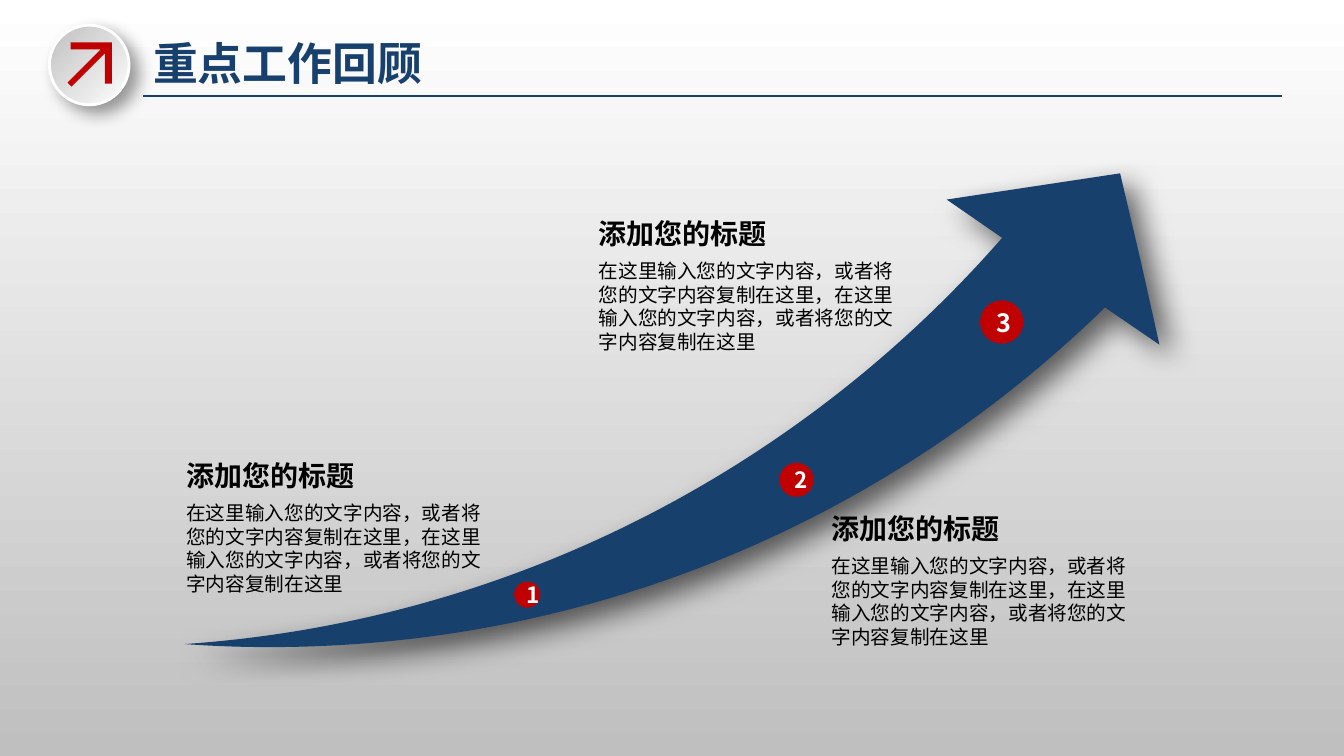
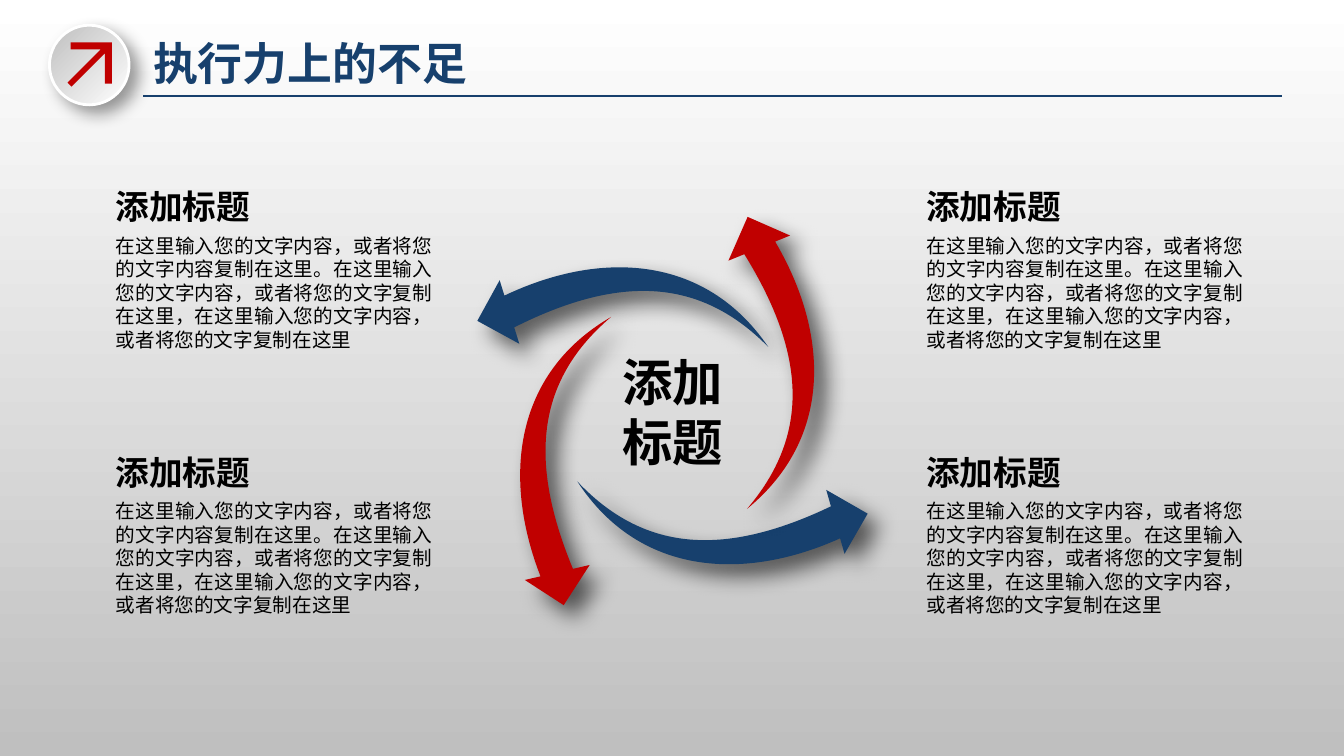
from typing import NamedTuple, Optional

from lxml import etree
from pptx import Presentation
from pptx.dml.color import RGBColor
from pptx.enum import shapes, text
from pptx.oxml import ns
from pptx.util import Inches, Pt

NAVY = RGBColor(0x17, 0x40, 0x6D)
RED = RGBColor(0xC0, 0x00, 0x00)
BLACK = RGBColor(0x00, 0x00, 0x00)
WHITE = RGBColor(0xFF, 0xFF, 0xFF)
SILVER = RGBColor(0xBF, 0xBF, 0xBF)
FONT = "Noto Sans CJK SC"
LINE_HEIGHT = 1.2  # in ems

Point = tuple[float, float]
# A step holds one point for a straight edge, three for a cubic curve.
Step = tuple[Point, ...]


class Box(NamedTuple):
    left: float
    top: float
    width: float
    height: float


class Shadow(NamedTuple):
    opacity: int
    blur: float
    distance: float


class Badge(NamedTuple):
    number: str
    left: float
    top: float
    diameter: float
    size: int


class SwirlArrow(NamedTuple):
    origin: Point
    rotation: float
    color: RGBColor


class TopicStyle(NamedTuple):
    heading: str
    body: str
    heading_size: int
    heading_width: float
    heading_height: float
    body_height: float
    body_offset: float
    body_align: Optional[text.PP_ALIGN] = None


BADGE_SHADOW = Shadow(40, 12, 8)
GROWTH_SHADOW = Shadow(60, 20, 12)
SWIRL_SHADOW = Shadow(60, 16, 12)

ICON_OUTLINE: list[Step] = [
    ((1.04, 0.83),), ((1.04, 0.53),), ((0.71, 0.86),), ((0.67, 0.82),),
    ((1, 0.49),), ((0.7, 0.49),), ((0.7, 0.42),), ((1.08, 0.42),),
    ((1.11, 0.42),), ((1.11, 0.46),), ((1.11, 0.83),),
]
GROWTH_OUTLINE: list[Step] = [
    ((10.96, 3.05),),
    ((8.82, 5.14), (5.9, 6.42), (2.67, 6.42)),
    ((2.39, 6.42), (2.11, 6.41), (1.83, 6.39)),
    ((5.06, 6.17), (7.94, 4.65), (9.94, 2.36)),
    ((9.39, 1.98),), ((10.25, 1.85),), ((11.11, 1.72),),
    ((11.31, 2.57),), ((11.5, 3.42),),
]
# Measured from the top left corner of the upright arrow.
SWIRL_OUTLINE: list[Step] = [
    ((0, 2.35),), ((0.16, 2.35),),
    ((0.01, 1.32), (0.35, 0.33), (1.42, 0)),
    ((0.59, 0.43), (0.29, 1.16), (0.49, 2.35)),
    ((0.66, 2.35),), ((0.32, 2.68),),
]
SWIRL_ARROWS = [
    SwirlArrow((5.42, 1.82), 72.8, NAVY),
    SwirlArrow((4.96, 3.27), 347, RED),
    SwirlArrow((6.5, 3.75), 254, NAVY),
    SwirlArrow((6.85, 2.2), 157.8, RED),
]

BADGES = [
    Badge("1", 5.1, 5.77, 0.26, 16),
    Badge("2", 7.73, 4.59, 0.34, 16),
    Badge("3", 9.72, 2.98, 0.43, 18),
]

REVIEW_STYLE = TopicStyle(
    "添加您的标题",
    "在这里输入您的文字内容，或者将您的文字内容复制在这里，"
    "在这里输入您的文字内容，或者将您的文字内容复制在这里",
    20, 2.17, 0.44, 1.04, 0.42,
)
# Left, top and body width.
REVIEW_TOPICS = [(1.75, 4.5, 3.24), (5.84, 2.1, 3.28), (8.15, 5.03, 3.2)]

SHORTFALL_STYLE = TopicStyle(
    "添加标题",
    "在这里输入您的文字内容，或者将您的文字内容复制在这里。"
    "在这里输入您的文字内容，或者将您的文字复制在这里，"
    "在这里输入您的文字内容，或者将您的文字复制在这里",
    24, 3.34, 0.5, 1.28, 0.47, text.PP_ALIGN.JUSTIFY,
)
SHORTFALL_COLUMNS = (1.05, 9.09)
SHORTFALL_ROWS = (1.8, 4.43)


def set_shadow(shape, shadow: Optional[Shadow]) -> None:
    shape.shadow.inherit = False
    if shadow is None:
        return
    effects = shape._element.spPr.find(ns.qn("a:effectLst"))
    outer = etree.SubElement(
        effects, ns.qn("a:outerShdw"), blurRad=str(Pt(shadow.blur)),
        dist=str(Pt(shadow.distance)), dir=str(45 * 60000), algn="tl", rotWithShape="0")
    color = etree.SubElement(outer, ns.qn("a:srgbClr"), val=str(BLACK))
    etree.SubElement(color, ns.qn("a:alpha"), val=str(shadow.opacity * 1000))


def set_gradient(fill, start: RGBColor, end: RGBColor, angle: float) -> None:
    fill.gradient()
    fill.gradient_angle = angle
    for stop, color, position in zip(fill.gradient_stops, (start, end), (0, 1)):
        stop.color.rgb = color
        stop.position = position


def write(frame, words: str, size: int, color: RGBColor, bold: bool,
          align: Optional[text.PP_ALIGN] = None) -> None:
    frame.text = words
    frame.word_wrap = True
    paragraph = frame.paragraphs[0]
    paragraph.alignment = align
    paragraph.line_spacing = Pt(size * LINE_HEIGHT)
    for run in paragraph.runs:
        run.font.size = Pt(size)
        run.font.bold = bold
        run.font.color.rgb = color
        run.font.name = FONT
        etree.SubElement(run.font._element, ns.qn("a:ea"), typeface=FONT)


def add_text(slide, box: Box, words: str, size: int, color: RGBColor = BLACK,
             bold: bool = False, align: Optional[text.PP_ALIGN] = None) -> None:
    frame = slide.shapes.add_textbox(*map(Inches, box)).text_frame
    write(frame, words, size, color, bold, align)


def bend_edges(shape, outline: list[Step]) -> None:
    """Replace the straight edges of the three-point steps by cubic curves."""
    left = min(step[-1][0] for step in outline)
    top = min(step[-1][1] for step in outline)
    edges = list(shape._element.iter(ns.qn("a:lnTo")))
    for edge, step in zip(edges, outline[1:]):
        if len(step) == 1:
            continue
        curve = etree.Element(ns.qn("a:cubicBezTo"))
        for x, y in step:
            etree.SubElement(curve, ns.qn("a:pt"),
                             x=str(Inches(x - left)), y=str(Inches(y - top)))
        edge.getparent().replace(edge, curve)


def add_outline(shape_tree, outline: list[Step], color: RGBColor,
                shadow: Optional[Shadow] = None, origin: Point = (0, 0)):
    corners = [(Inches(step[-1][0]), Inches(step[-1][1])) for step in outline]
    builder = shape_tree.build_freeform(*corners[0])
    builder.add_line_segments(corners[1:], close=True)
    shape = builder.convert_to_shape(*map(Inches, origin))
    bend_edges(shape, outline)
    shape.fill.solid()
    shape.fill.fore_color.rgb = color
    shape.line.fill.background()
    set_shadow(shape, shadow)
    return shape


def add_titled_slide(prs, title: str):
    slide = prs.slides.add_slide(prs.slide_layouts[6])
    emblem = slide.shapes.add_group_shape().shapes
    disc = emblem.add_shape(shapes.MSO_SHAPE.OVAL, *map(Inches, (0.49, 0.25, 0.79, 0.79)))
    set_gradient(disc.fill, WHITE, SILVER, 135)
    disc.line.color.rgb = WHITE
    disc.line.width = Pt(2)
    set_shadow(disc, BADGE_SHADOW)
    add_outline(emblem, ICON_OUTLINE, RED)

    add_text(slide, Box(1.42, 0.31, 5.98, 0.64), title, 32, NAVY, bold=True)
    rule = slide.shapes.add_connector(
        shapes.MSO_CONNECTOR.STRAIGHT, *map(Inches, (1.42, 0.95, 12.72, 0.95)))
    rule.line.color.rgb = NAVY
    rule.line.width = Pt(1.25)
    etree.SubElement(rule._element.spPr, ns.qn("a:effectLst"))
    return slide


def add_topic(slide, left: float, top: float, body_width: float, style: TopicStyle) -> None:
    add_text(slide, Box(left, top + style.body_offset, body_width, style.body_height),
             style.body, 14, align=style.body_align)
    add_text(slide, Box(left, top, style.heading_width, style.heading_height),
             style.heading, style.heading_size, bold=True)


def add_badge(slide, badge: Badge) -> None:
    disc = slide.shapes.add_shape(
        shapes.MSO_SHAPE.OVAL,
        *map(Inches, (badge.left, badge.top, badge.diameter, badge.diameter)))
    disc.fill.solid()
    disc.fill.fore_color.rgb = RED
    disc.line.fill.background()
    set_shadow(disc, None)
    write(disc.text_frame, badge.number, badge.size, WHITE, True, text.PP_ALIGN.CENTER)
    disc.text_frame.vertical_anchor = text.MSO_ANCHOR.MIDDLE


def add_review_slide(prs) -> None:
    slide = add_titled_slide(prs, "重点工作回顾")
    add_outline(slide.shapes, GROWTH_OUTLINE, NAVY, GROWTH_SHADOW)
    for badge in BADGES:
        add_badge(slide, badge)
    for left, top, body_width in REVIEW_TOPICS:
        add_topic(slide, left, top, body_width, REVIEW_STYLE)


def add_shortfall_slide(prs) -> None:
    slide = add_titled_slide(prs, "执行力上的不足")
    for arrow in SWIRL_ARROWS:
        swirl = add_outline(slide.shapes, SWIRL_OUTLINE, arrow.color, SWIRL_SHADOW,
                            arrow.origin)
        swirl.rotation = arrow.rotation
    for left in SHORTFALL_COLUMNS:
        for top in SHORTFALL_ROWS:
            add_topic(slide, left, top, SHORTFALL_STYLE.heading_width, SHORTFALL_STYLE)
    add_text(slide, Box(6.03, 3.43, 1.28, 1.31), "添加标题", 36, bold=True,
             align=text.PP_ALIGN.CENTER)


def main() -> None:
    prs = Presentation()
    prs.slide_width, prs.slide_height = Inches(13.33), Inches(7.5)
    set_gradient(prs.slide_master.background.fill, SILVER, WHITE, 90)
    add_review_slide(prs)
    add_shortfall_slide(prs)
    prs.save("out.pptx")


if __name__ == "__main__":
    main()
